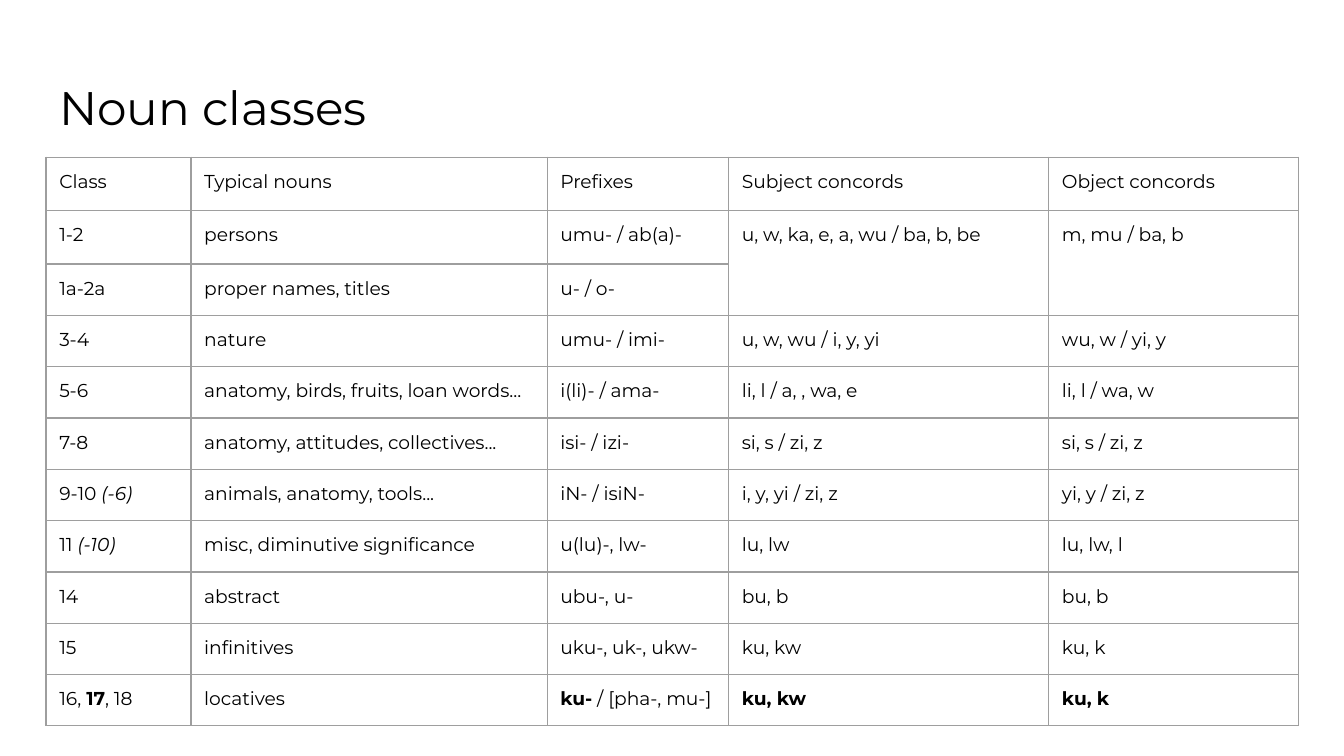
import pptx
import pptx.dml.color
import pptx.enum.text
import pptx.oxml
import pptx.oxml.ns
import pptx.util
from pptx.util import Cm

COLORS = {"text": "000000", "border": "9E9E9E"}
FONT = "Montserrat"
INSET = Cm(0.25)
COLUMN_WIDTHS = [2.74, 6.73, 3.43, 6.05, 4.72]
TALL_ROWS = 2
ROW_HEIGHTS = {"tall": 1.01, "normal": 0.97}
MERGED_ROWS = (1, 2)
MERGED_COLUMNS = (3, 4)

NOUN_CLASSES = [
    ["Class", "Typical nouns", "Prefixes", "Subject concords", "Object concords"],
    ["1-2", "persons", "umu- / ab(a)-", "u, w, ka, e, a, wu / ba, b, be", "m, mu / ba, b"],
    ["1a-2a", "proper names, titles", "u- / o-", "", ""],
    ["3-4", "nature", "umu- / imi-", "u, w, wu / i, y, yi", "wu, w / yi, y"],
    ["5-6", "anatomy, birds, fruits, loan words...", "i(li)- / ama-", "li, l / a, , wa, e", "li, l / wa, w"],
    ["7-8", "anatomy, attitudes, collectives...", "isi- / izi-", "si, s / zi, z", "si, s / zi, z"],
    [["9-10 ", ("(-6)", "italic")], "animals, anatomy, tools...", "iN- / isiN-", "i, y, yi / zi, z", "yi, y / zi, z"],
    [["11 ", ("(-10)", "italic")], "misc, diminutive significance", "u(lu)-, lw-", "lu, lw", "lu, lw, l"],
    ["14", "abstract", "ubu-, u-", "bu, b", "bu, b"],
    ["15", "infinitives", "uku-, uk-, ukw-", "ku, kw", "ku, k"],
    [["16, ", ("17", "bold"), ", 18"], "locatives", [("ku-", "bold"), " / [pha-, mu-]"],
     [("ku, kw", "bold")], [("ku, k", "bold")]],
]


def write_text(text_frame, text, size=10, color="text", font=FONT):
    paragraph = text_frame.paragraphs[0]
    for part in [text] if isinstance(text, str) else text:
        content, style = (part, None) if isinstance(part, str) else part
        run = paragraph.add_run()
        run.text = content
        run.font.name = font
        run.font.size = pptx.util.Pt(size)
        run.font.color.rgb = pptx.dml.color.RGBColor.from_string(COLORS[color])
        run.font.bold = style == "bold"
        run.font.italic = style == "italic"


def set_borders(cell, color="border", width=0.75):
    properties = cell._tc.get_or_add_tcPr()
    for side in ("lnL", "lnR", "lnT", "lnB"):
        properties.append(pptx.oxml.parse_xml(
            f'<a:{side} {pptx.oxml.ns.nsdecls("a")} w="{pptx.util.Pt(width)}">'
            f'<a:solidFill><a:srgbClr val="{COLORS[color]}"/></a:solidFill></a:{side}>'
        ))


def set_insets(target):
    target.margin_left = target.margin_right = INSET
    target.margin_top = target.margin_bottom = INSET


def add_title(slide, left, top, width, height):
    text_frame = slide.shapes.add_textbox(left, top, width, height).text_frame
    text_frame.word_wrap = True
    text_frame.vertical_anchor = pptx.enum.text.MSO_ANCHOR.TOP
    set_insets(text_frame)
    write_text(text_frame, "Noun classes", size=25.2)


def add_noun_table(slide, left, top, width, height):
    shape = slide.shapes.add_table(
        len(NOUN_CLASSES), len(COLUMN_WIDTHS), left, top, width, height)
    table = shape.table
    table.first_row = table.horz_banding = False
    for column, share in zip(table.columns, COLUMN_WIDTHS):
        column.width = int(width * share / sum(COLUMN_WIDTHS))
    heights = [ROW_HEIGHTS["tall" if index < TALL_ROWS else "normal"]
               for index in range(len(NOUN_CLASSES))]
    for row, share, texts in zip(table.rows, heights, NOUN_CLASSES):
        row.height = int(height * share / sum(heights))
        for cell, text in zip(row.cells, texts):
            set_insets(cell)
            set_borders(cell)
            cell.fill.background()
            write_text(cell.text_frame, text)
    first, last = MERGED_ROWS
    for column in MERGED_COLUMNS:
        table.cell(first, column).merge(table.cell(last, column))


def main():
    presentation = pptx.Presentation()
    presentation.slide_width = Cm(25.4)
    presentation.slide_height = Cm(14.29)
    slide = presentation.slides.add_slide(presentation.slide_layouts[6])
    add_title(slide, Cm(0.87), Cm(1.24), Cm(23.67), Cm(1.6))
    add_noun_table(slide, Cm(0.87), Cm(2.97), Cm(23.67), Cm(10.75))
    presentation.save("out.pptx")


if __name__ == "__main__":
    main()
